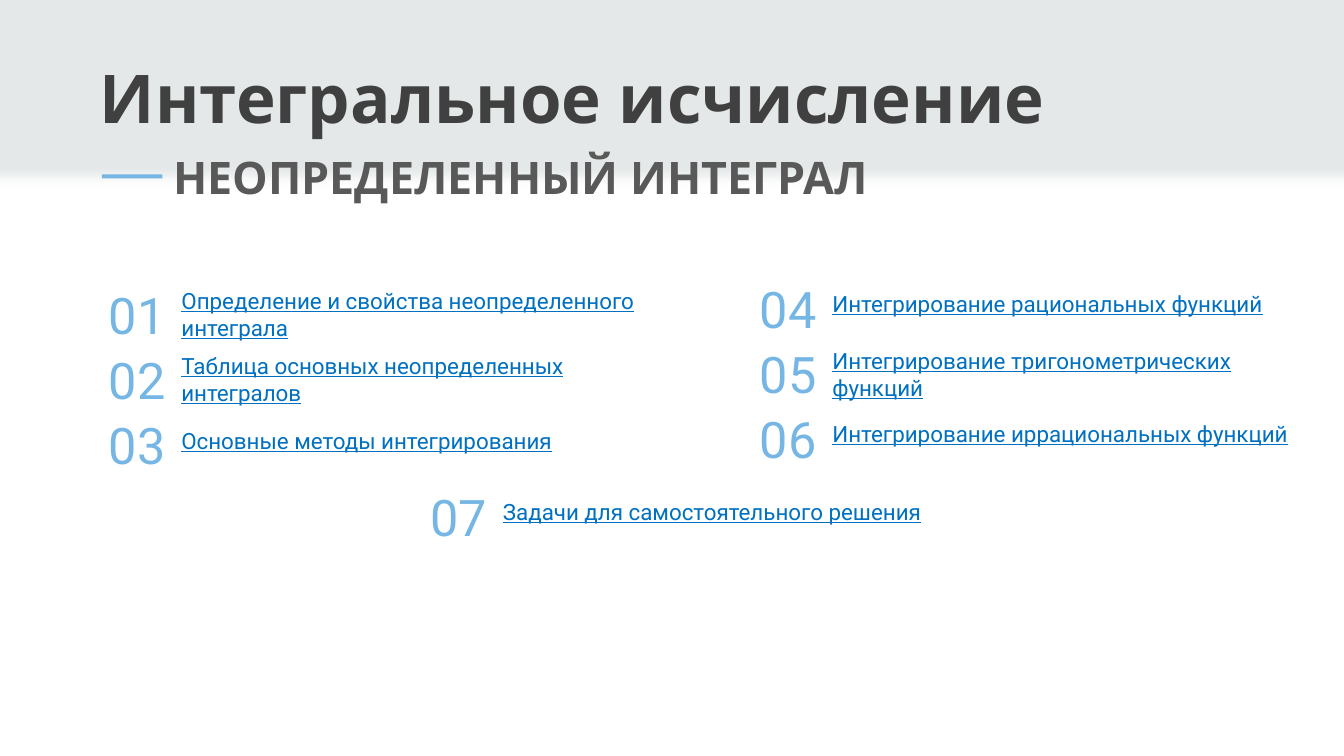
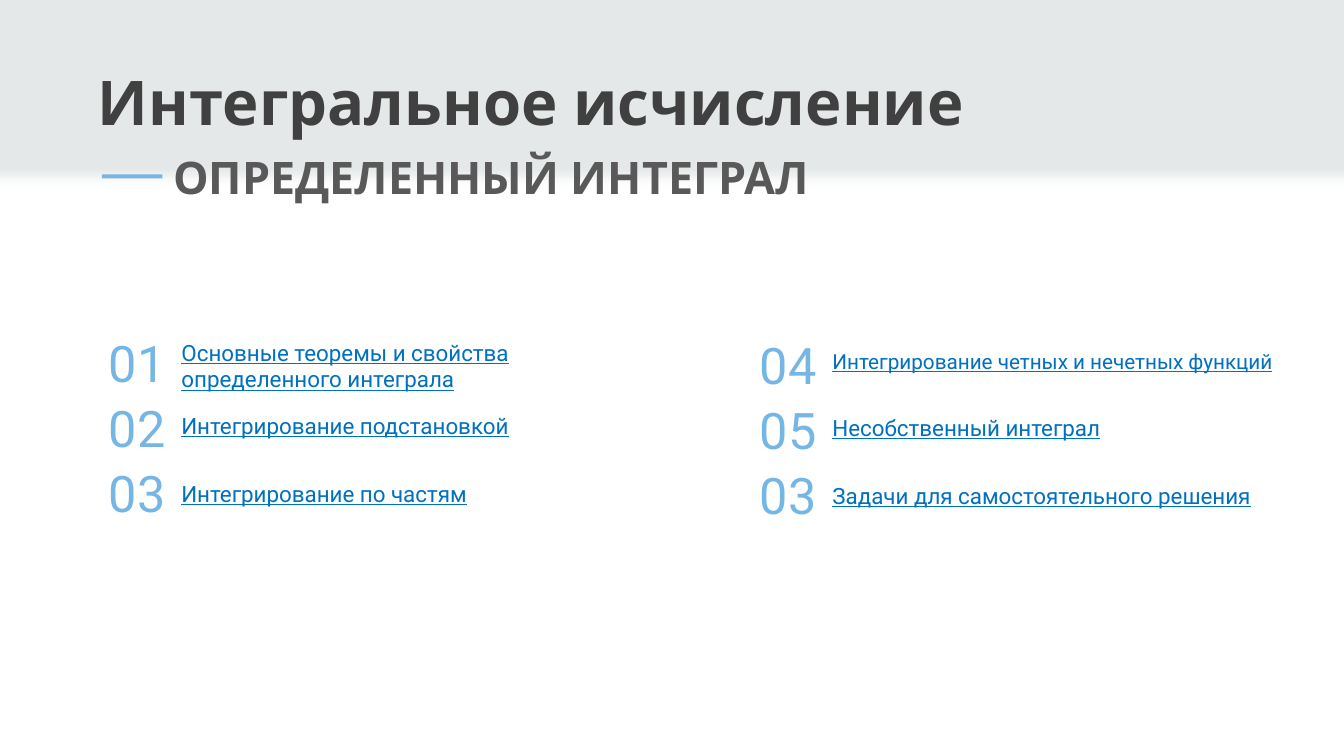
from lxml import etree
from pptx import Presentation
from pptx.dml.color import RGBColor
from pptx.enum.shapes import MSO_SHAPE as Preset
from pptx.enum.text import MSO_ANCHOR as Anchor, MSO_AUTO_SIZE as AutoSize, PP_ALIGN as Align
from pptx.oxml.ns import qn
from pptx.util import Inches, Pt

# Grid: 100 columns by 100 rows over the slide
SLIDE_W, SLIDE_H = Inches(13.33), Inches(7.5)
LEFT_COL, MIDDLE_COL, RIGHT_COL = 7.35, 31.28, 55.8
TOPIC_INDENT, TOPIC_W = 5.4, 36
NUMBER_W, ENTRY_H, ENTRY_PITCH = 5.85, 9.5, 8.6
HEADING_W, HEADING_H = 86.6, 16.53

# Colours and fonts
BAND_GREY = RGBColor(0xE4, 0xE8, 0xE8)
TITLE_GREY = RGBColor(0x40, 0x40, 0x40)
SUBTITLE_GREY = RGBColor(0x59, 0x59, 0x59)
SKY_BLUE = RGBColor(0x75, 0xB6, 0xE5)
LINK_BLUE = RGBColor(0x00, 0x70, 0xC0)
HEADING_FONT, TEXT_FONT = "Open Sans", "Roboto"
TOPIC_SIZE = 16

# Each group: column, first row, entries of (number, topic, drop in rows[, size])
INDEFINITE = [
    (LEFT_COL, 36.93, [
        ("01", "Определение и свойства неопределенного интеграла", 0.4),
        ("02", "Таблица основных неопределенных интегралов", 0.4),
        ("03", "Основные методы интегрирования", 1.73)]),
    (RIGHT_COL, 36.13, [
        ("04", "Интегрирование рациональных функций", 1.6),
        ("05", "Интегрирование тригонометрических функций", 0.53),
        ("06", "Интегрирование иррациональных функций", 1.6)]),
    (MIDDLE_COL, 63.6, [
        ("07", "Задачи для самостоятельного решения", 1.6)]),
]
DEFINITE = [
    (LEFT_COL, 43.33, [
        ("01", "Основные теоремы и свойства определенного интеграла", 0.8),
        ("02", "Интегрирование подстановкой", 1.87),
        ("03", "Интегрирование по частям", 2.27)]),
    (RIGHT_COL, 43.6, [
        ("04", "Интегрирование четных и нечетных функций", 1.87, 14.8),
        ("05", "Несобственный интеграл", 1.87),
        ("03", "Задачи для самостоятельного решения", 2.27)]),
]


def area(col, row, cols, rows):
    """Turn grid units into left, top, width and height."""
    return (int(SLIDE_W * col / 100), int(SLIDE_H * row / 100),
            int(SLIDE_W * cols / 100), int(SLIDE_H * rows / 100))


def place(box, col, row, cols, rows):
    box.left, box.top, box.width, box.height = area(col, row, cols, rows)


def write(box, text, font_name, size, color, bold=False, underline=False):
    frame = box.text_frame
    frame.word_wrap = True
    frame.auto_size = AutoSize.NONE
    frame.text = text
    paragraph = frame.paragraphs[0]
    paragraph.alignment = Align.LEFT
    paragraph.space_before = Pt(0)
    font = paragraph.font
    font.name, font.size, font.color.rgb = font_name, Pt(size), color
    font.bold, font.underline = bold, underline
    return paragraph


def add_heading(box, text, col, row, size, color):
    place(box, col, row, HEADING_W, HEADING_H)
    write(box, text, HEADING_FONT, size, color, bold=True)
    box.text_frame.vertical_anchor = Anchor.BOTTOM
    box.text_frame.margin_bottom = 0


def add_bar(slide, color, *cells):
    bar = slide.shapes.add_shape(Preset.RECTANGLE, *area(*cells))
    bar.fill.solid()
    bar.fill.fore_color.rgb = color
    bar.line.fill.background()
    bar.shadow.inherit = False
    return bar


def add_band(slide):
    band = add_bar(slide, BAND_GREY, -2.3, -4.5, 104.25, 30)
    effects = band.element.spPr.find(qn("a:effectLst"))
    etree.SubElement(effects, qn("a:softEdge"), rad=str(Pt(10)))
    # Behind the title
    slide.shapes.element.insert(2, band.element)


def add_topic(box, text, size):
    paragraph = write(box, text, TEXT_FONT, size, LINK_BLUE, underline=True)
    paragraph.space_after = Pt(8)
    # No bullet, no hanging indent
    properties = paragraph._p.get_or_add_pPr()
    properties.set("marL", "0")
    properties.set("indent", "0")
    bullet = etree.SubElement(properties, qn("a:buNone"))
    properties.find(qn("a:spcAft")).addnext(bullet)


def add_entry(slide, col, row, number, topic, drop, size=TOPIC_SIZE, topic_box=None):
    number_box = slide.shapes.add_textbox(*area(col, row, NUMBER_W, ENTRY_H))
    write(number_box, number, TEXT_FONT, 36, SKY_BLUE)
    cells = (col + TOPIC_INDENT, row + drop, TOPIC_W, ENTRY_H)
    if topic_box is None:
        topic_box = slide.shapes.add_textbox(*area(*cells))
    else:
        place(topic_box, *cells)
    add_topic(topic_box, topic, size)


def add_contents_slide(deck, subtitle, groups, title_at, title_size):
    slide = deck.slides.add_slide(deck.slide_layouts[1])
    add_band(slide)

    # Title, accent dash and subtitle
    add_heading(slide.shapes.title, "Интегральное исчисление", *title_at, title_size, TITLE_GREY)
    add_bar(slide, SKY_BLUE, 7.58, 23.07, 4.5, 0.53)
    subtitle_box = slide.shapes.add_textbox(0, 0, 0, 0)
    add_heading(subtitle_box, subtitle, 12.15, 10.4, 32, SUBTITLE_GREY)

    # Numbered topics; the first one fills the body placeholder
    body = slide.placeholders[1]
    for col, first_row, entries in groups:
        for index, entry in enumerate(entries):
            add_entry(slide, col, first_row + index * ENTRY_PITCH, *entry, topic_box=body)
            body = None


def main():
    deck = Presentation()
    deck.slide_width, deck.slide_height = SLIDE_W, SLIDE_H
    add_contents_slide(deck, "НЕОПРЕДЕЛЕННЫЙ ИНТЕГРАЛ", INDEFINITE, (6.68, 1.6), 48)
    add_contents_slide(deck, "ОПРЕДЕЛЕННЫЙ ИНТЕГРАЛ", DEFINITE, (6.53, 1.73), 44)
    deck.save("out.pptx")


if __name__ == "__main__":
    main()
